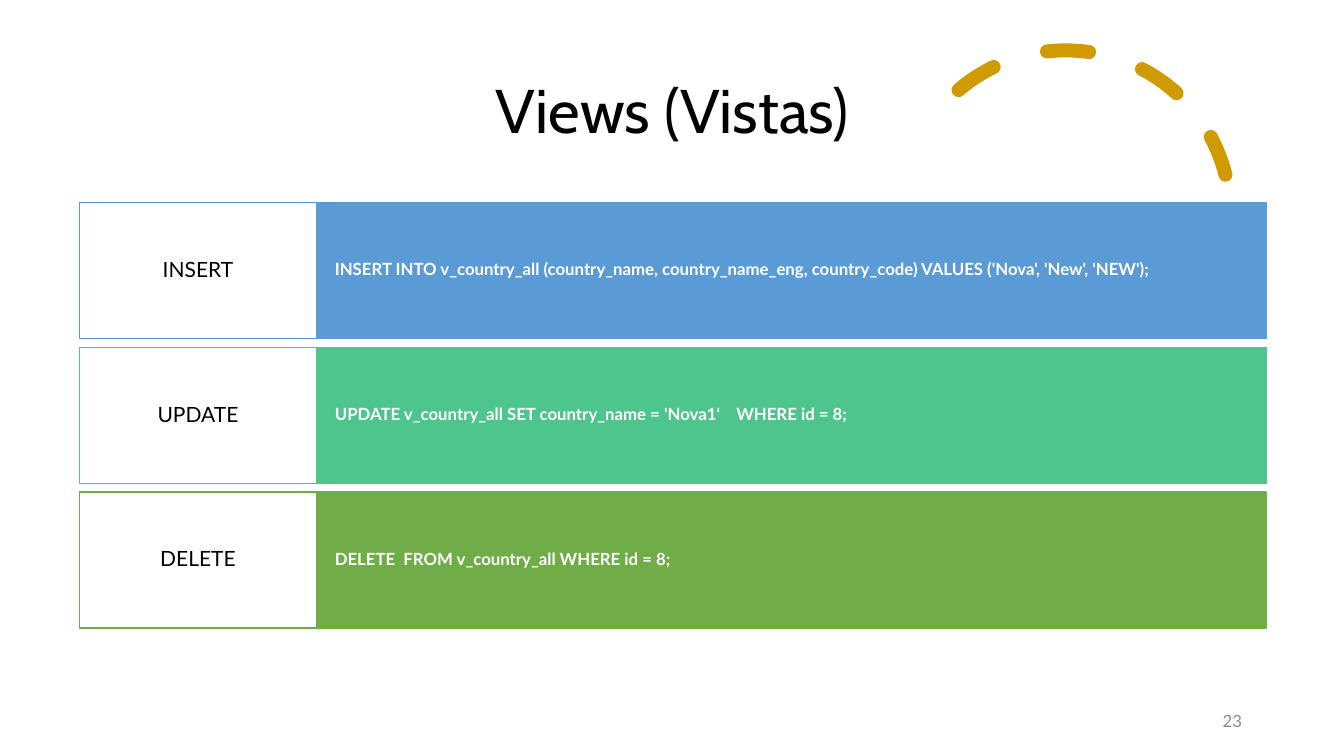
"""Build the slide that shows INSERT, UPDATE and DELETE on a view."""
from pptx import Presentation
from pptx.dml.color import RGBColor
from pptx.enum.dml import MSO_LINE
from pptx.enum.shapes import MSO_SHAPE
from pptx.enum.text import MSO_ANCHOR, PP_ALIGN
from pptx.oxml.ns import qn
from pptx.util import Cm, Pt

TITLE = "Views (Vistas)"
SLIDE_NUMBER = "23"
STATEMENTS = [
    ("INSERT", "INSERT INTO v_country_all (country_name, country_name_eng, country_code) "
               "VALUES ('Nova', 'New', 'NEW');", "5B9BD5"),
    ("UPDATE", "UPDATE v_country_all SET country_name = 'Nova1'    WHERE id = 8;", "4DC58D"),
    ("DELETE", "DELETE  FROM v_country_all WHERE id = 8;", "70AD47"),
]

RECTANGLE, ARC = MSO_SHAPE.RECTANGLE, MSO_SHAPE.ARC
LEFT, CENTER, RIGHT = PP_ALIGN.LEFT, PP_ALIGN.CENTER, PP_ALIGN.RIGHT
MIDDLE = MSO_ANCHOR.MIDDLE
DASH = MSO_LINE.DASH

GOLD, WHITE, BLACK, GRAY = "CF9B00", "FFFFFF", "000000", "8C8C8C"
ROWS_LEFT, ROWS_TOP = 2.0, 5.1
LABEL_WIDTH, STATEMENT_WIDTH = 5.98, 23.93
ROW_HEIGHT, ROW_PITCH = 3.43, 3.65


def color(hex_string):
    return RGBColor.from_string(hex_string)


def write(shape, text, font_name, size, hex_string, alignment, bold=False, spacing=0.9):
    frame = shape.text_frame
    frame.text = text
    frame.word_wrap = True
    frame.vertical_anchor = MIDDLE
    paragraph = frame.paragraphs[0]
    paragraph.alignment = alignment
    paragraph.line_spacing = spacing
    font = paragraph.runs[0].font
    font.name, font.size, font.bold = font_name, Pt(size), bold
    font.color.rgb = color(hex_string)


def add_cell(slide, left, top, width, fill, outline, margin):
    cell = slide.shapes.add_shape(RECTANGLE, Cm(left), Cm(top), Cm(width), Cm(ROW_HEIGHT))
    cell.shadow.inherit = False
    cell.fill.solid()
    cell.fill.fore_color.rgb = color(fill)
    cell.line.color.rgb = color(outline)
    cell.line.width = Pt(1)
    cell.text_frame.margin_left = cell.text_frame.margin_right = Cm(margin)
    return cell


def add_dashed_arc(slide):
    arc = slide.shapes.add_shape(ARC, Cm(22.71), Cm(1.27), Cm(8.3), Cm(8.3))
    arc.adjustments[0] = 146.13
    arc.adjustments[1] = 0
    arc.rotation = 345.8
    arc.shadow.inherit = False
    arc.fill.background()
    arc.line.color.rgb = color(GOLD)
    arc.line.width = Pt(10)
    arc.line.dash_style = DASH
    arc.element.spPr.find(qn("a:ln")).set("cap", "rnd")


def main():
    presentation = Presentation()
    presentation.slide_width, presentation.slide_height = Cm(33.87), Cm(19.05)
    slide = presentation.slides.add_slide(presentation.slide_layouts[5])
    add_dashed_arc(slide)

    title = slide.shapes.title
    title.left, title.top, title.width, title.height = Cm(2.34), Cm(1.01), Cm(29.21), Cm(3.68)
    write(title, TITLE, "Cabin", 44, BLACK, CENTER)

    number = slide.shapes.add_textbox(Cm(23.93), Cm(17.65), Cm(7.62), Cm(1.02))
    write(number, SLIDE_NUMBER, "Lato", 12, GRAY, RIGHT, spacing=1.0)

    for row, (label_text, statement_text, accent) in enumerate(STATEMENTS):
        top = ROWS_TOP + row * ROW_PITCH
        statement = add_cell(slide, ROWS_LEFT + LABEL_WIDTH, top, STATEMENT_WIDTH,
                             accent, accent, 0.46)
        write(statement, statement_text, "Lato", 12, WHITE, LEFT, bold=True)
        label = add_cell(slide, ROWS_LEFT, top, LABEL_WIDTH, WHITE, accent, 0.3)
        write(label, label_text, "Lato", 15, BLACK, CENTER)

    presentation.save("out.pptx")


if __name__ == "__main__":
    main()
